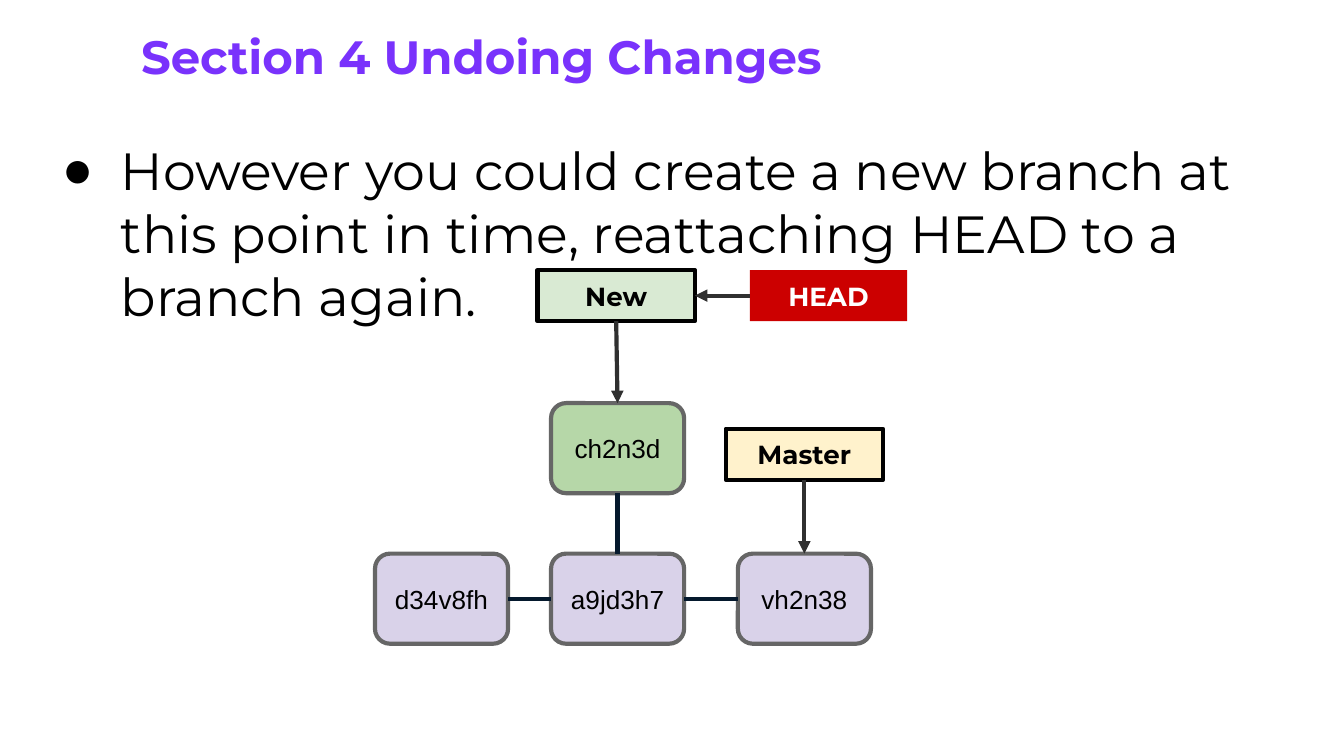
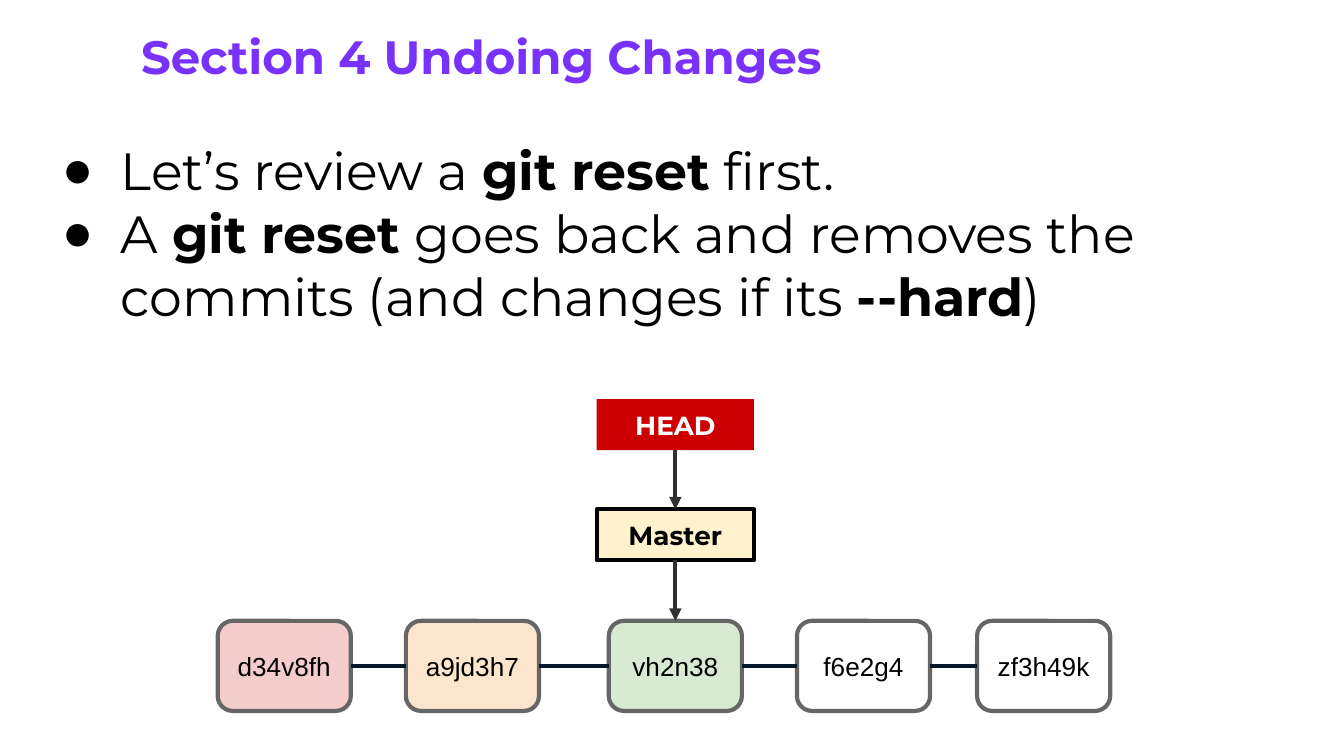
import dataclasses

import pptx
import pptx.dml.color
import pptx.enum.shapes
import pptx.enum.text
import pptx.oxml
import pptx.oxml.ns
import pptx.util

Inches, Pt = pptx.util.Inches, pptx.util.Pt
RGB = pptx.dml.color.RGBColor.from_string
SHAPE = pptx.enum.shapes.MSO_SHAPE
CONNECTOR = pptx.enum.shapes.MSO_CONNECTOR
ALIGN = pptx.enum.text.PP_ALIGN
ANCHOR = pptx.enum.text.MSO_ANCHOR
AUTO_SIZE = pptx.enum.text.MSO_AUTO_SIZE
TOP, LEFT, BOTTOM, RIGHT = range(4)


@dataclasses.dataclass(frozen=True)
class Theme:
    title: str = "7932FC"
    text: str = "000000"
    light_text: str = "FFFFFF"
    history: str = "05192D"
    arrow: str = "303030"
    commit_edge: str = "666666"
    heading_font: str = "Montserrat"
    commit_font: str = "Arial"
    bullet_font: str = "Arial"
    title_size: float = 25
    body_size: float = 28
    label_size: float = 14
    line_width: float = 2.25


THEME = Theme()
WIDTH = 10
SIZE = (WIDTH, WIDTH * 9 / 16)
TITLE_BOX = (0.95, 0.11, 7.31, 0.62)
BODY_BOX = (0.3, 0.93, 9.25, 1.62)
TITLE = "Section 4 Undoing Changes"
COMMIT_WIDTH = 0.99

# Node kinds: preset, size, edge colour, font, weight, text colour
KINDS = {
    "commit": (SHAPE.ROUNDED_RECTANGLE, (COMMIT_WIDTH, 0.67), THEME.commit_edge,
               THEME.commit_font, False, THEME.text),
    "branch": (SHAPE.RECTANGLE, (1.17, 0.38), THEME.text,
               THEME.heading_font, True, THEME.text),
    "head": (SHAPE.RECTANGLE, (1.17, 0.38), None,
             THEME.heading_font, True, THEME.light_text),
}

# Bullets alternate plain and bold pieces. Nodes are (label, kind, fill, column, row).
# Columns give the left of a commit, on which wider nodes are centred; rows give tops.
SLIDES = [
    {
        "bullets": [["However you could create a new branch at this point in time, "
                     "reattaching HEAD to a branch again."]],
        "columns": [2.79, 4.1, 5.49, 4.09, 5.67],
        "rows": [2.01, 3, 3.19, 4.12],
        "nodes": [
            ("d34v8fh", "commit", "D9D2E9", 0, 3),
            ("a9jd3h7", "commit", "D9D2E9", 1, 3),
            ("vh2n38", "commit", "D9D2E9", 2, 3),
            ("Master", "branch", "FFF2CC", 2, 2),
            ("HEAD", "head", "CC0000", 4, 0),
            ("New", "branch", "D9EAD3", 3, 0),
            ("ch2n3d", "commit", "B6D7A8", 1, 1),
        ],
        "history": [("d34v8fh", RIGHT, "a9jd3h7", LEFT),
                    ("a9jd3h7", RIGHT, "vh2n38", LEFT),
                    ("a9jd3h7", TOP, "ch2n3d", BOTTOM)],
        "pointers": [("Master", BOTTOM, "vh2n38", TOP),
                     ("HEAD", LEFT, "New", RIGHT),
                     ("New", BOTTOM, "ch2n3d", TOP)],
    },
    {
        "bullets": [["Let’s review a ", "git reset", " first."],
                    ["A ", "git reset ", "goes back and removes the commits "
                     "(and changes if its ", "--hard", ")"]],
        "columns": [1.62, 3.02, 4.53, 5.93, 7.27],
        "rows": [2.97, 3.79, 4.62],
        "nodes": [
            ("d34v8fh", "commit", "F4CCCC", 0, 2),
            ("a9jd3h7", "commit", "FCE5CD", 1, 2),
            ("vh2n38", "commit", "D9EAD3", 2, 2),
            ("Master", "branch", "FFF2CC", 2, 1),
            ("HEAD", "head", "CC0000", 2, 0),
            ("f6e2g4", "commit", "FFFFFF", 3, 2),
            ("zf3h49k", "commit", "FFFFFF", 4, 2),
        ],
        "history": [("d34v8fh", RIGHT, "a9jd3h7", LEFT),
                    ("a9jd3h7", RIGHT, "vh2n38", LEFT),
                    ("vh2n38", RIGHT, "f6e2g4", LEFT),
                    ("f6e2g4", RIGHT, "zf3h49k", LEFT)],
        "pointers": [("Master", BOTTOM, "vh2n38", TOP),
                     ("HEAD", BOTTOM, "Master", TOP)],
    },
]


def apply(target, values):
    for name, value in values.items():
        setattr(target, name, value)


def add_xml(parent, tag, **attributes):
    child = pptx.oxml.parse_xml(f"<a:{tag} {pptx.oxml.ns.nsdecls('a')}/>")
    for name, value in attributes.items():
        child.set(name, value)
    parent.append(child)
    return child


def write(paragraph, text, font, size, color, bold=False):
    run = paragraph.add_run()
    run.text = text
    apply(run.font, {"name": font, "size": Pt(size), "bold": bold})
    run.font.color.rgb = RGB(color)


def set_frame(shape, anchor, auto_size):
    margin = Inches(0.1)
    apply(shape.text_frame, {
        "word_wrap": True, "vertical_anchor": anchor, "auto_size": auto_size,
        "margin_left": margin, "margin_right": margin,
        "margin_top": margin, "margin_bottom": margin})


def place(shape, box):
    apply(shape, dict(zip(("left", "top", "width", "height"), map(Inches, box))))
    set_frame(shape, ANCHOR.TOP, AUTO_SIZE.SHAPE_TO_FIT_TEXT)


def add_title(slide):
    place(slide.shapes.title, TITLE_BOX)
    paragraph = slide.shapes.title.text_frame.paragraphs[0]
    paragraph.alignment = ALIGN.LEFT
    write(paragraph, TITLE, THEME.heading_font, THEME.title_size, THEME.title, True)


def add_bullets(slide, bullets):
    body = slide.placeholders[1]
    place(body, BODY_BOX)
    for index, pieces in enumerate(bullets):
        frame = body.text_frame
        paragraph = frame.add_paragraph() if index else frame.paragraphs[0]
        apply(paragraph, {"space_before": Pt(0), "space_after": Pt(0), "line_spacing": 1.0})
        # Hanging bullet
        properties = paragraph._p.get_or_add_pPr()
        properties.set("marL", str(Inches(0.5)))
        properties.set("indent", str(Inches(-0.44)))
        add_xml(add_xml(properties, "buClr"), "srgbClr", val=THEME.text)
        add_xml(properties, "buFont", typeface=THEME.bullet_font)
        add_xml(properties, "buChar", char="●")
        for position, piece in enumerate(pieces):
            write(paragraph, piece, THEME.heading_font, THEME.body_size,
                  THEME.text, position % 2 == 1)


def add_node(slide, label, kind, fill, column, row):
    preset, (width, height), edge, font, bold, color = KINDS[kind]
    left = column + (COMMIT_WIDTH - width) / 2
    node = slide.shapes.add_shape(preset, *map(Inches, (left, row, width, height)))
    node.shadow.inherit = False
    node.fill.solid()
    node.fill.fore_color.rgb = RGB(fill)
    if edge:
        node.line.color.rgb = RGB(edge)
        node.line.width = Pt(THEME.line_width)
    else:
        node.line.fill.background()
    set_frame(node, ANCHOR.MIDDLE, AUTO_SIZE.NONE)
    paragraph = node.text_frame.paragraphs[0]
    paragraph.alignment = ALIGN.CENTER
    write(paragraph, label, font, THEME.label_size, color, bold)
    return node


def add_link(slide, nodes, link, route, color, arrow=False):
    start, start_side, end, end_side = link
    connector = slide.shapes.add_connector(route, 0, 0, 0, 0)
    connector.begin_connect(nodes[start], start_side)
    connector.end_connect(nodes[end], end_side)
    connector.line.color.rgb = RGB(color)
    connector.line.width = Pt(THEME.line_width)
    if arrow:
        add_xml(connector.line._get_or_add_ln(), "tailEnd", type="triangle")
    add_xml(connector._element.spPr, "effectLst")


def build_slide(deck, content):
    slide = deck.slides.add_slide(deck.slide_layouts[1])
    add_title(slide)
    add_bullets(slide, content["bullets"])
    # Commit diagram
    nodes = {
        label: add_node(slide, label, kind, fill,
                        content["columns"][column], content["rows"][row])
        for label, kind, fill, column, row in content["nodes"]}
    for link in content["history"]:
        add_link(slide, nodes, link, CONNECTOR.ELBOW, THEME.history)
    for link in content["pointers"]:
        add_link(slide, nodes, link, CONNECTOR.STRAIGHT, THEME.arrow, arrow=True)


def main():
    deck = pptx.Presentation()
    deck.slide_width, deck.slide_height = map(Inches, SIZE)
    for content in SLIDES:
        build_slide(deck, content)
    deck.save("out.pptx")


if __name__ == "__main__":
    main()
